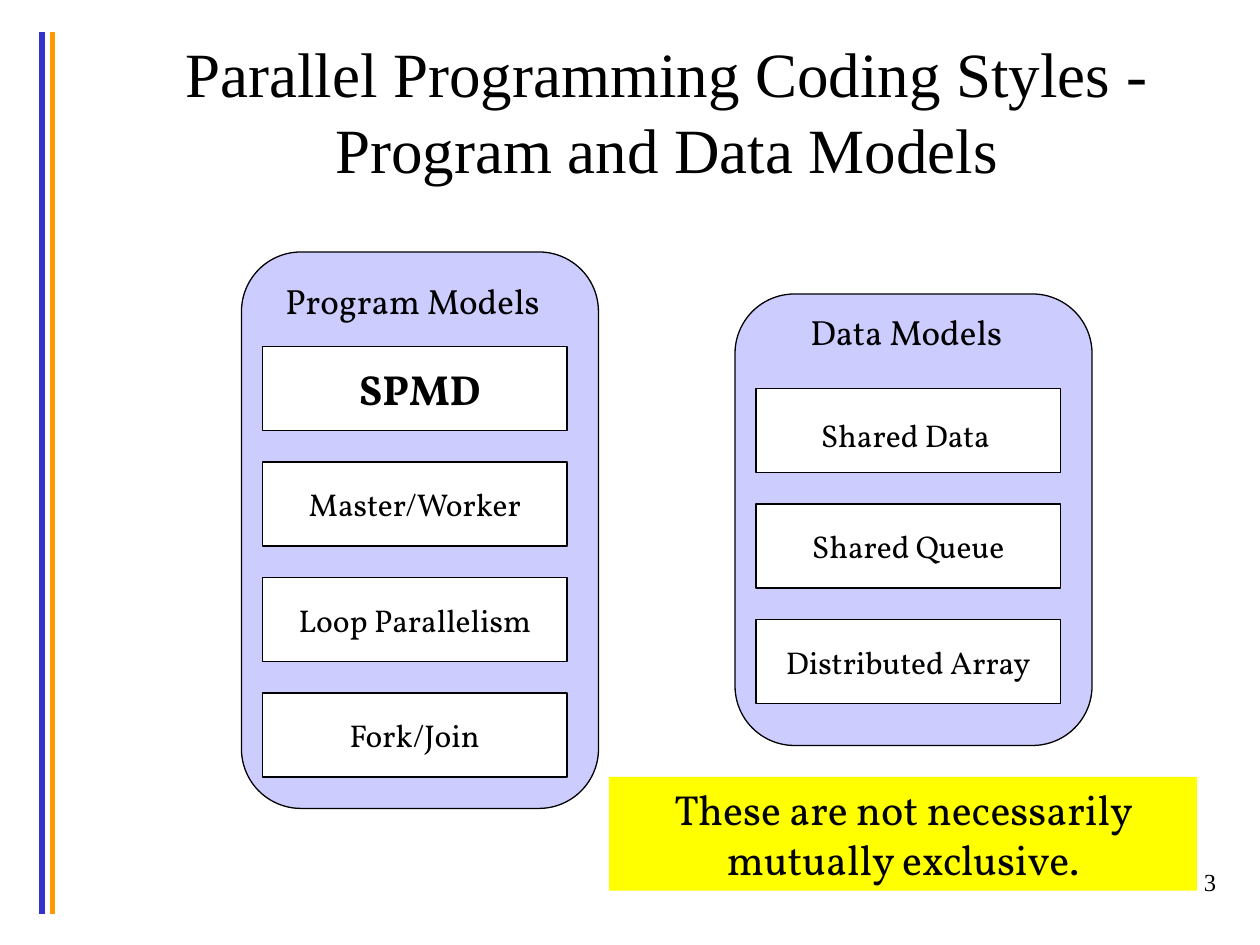
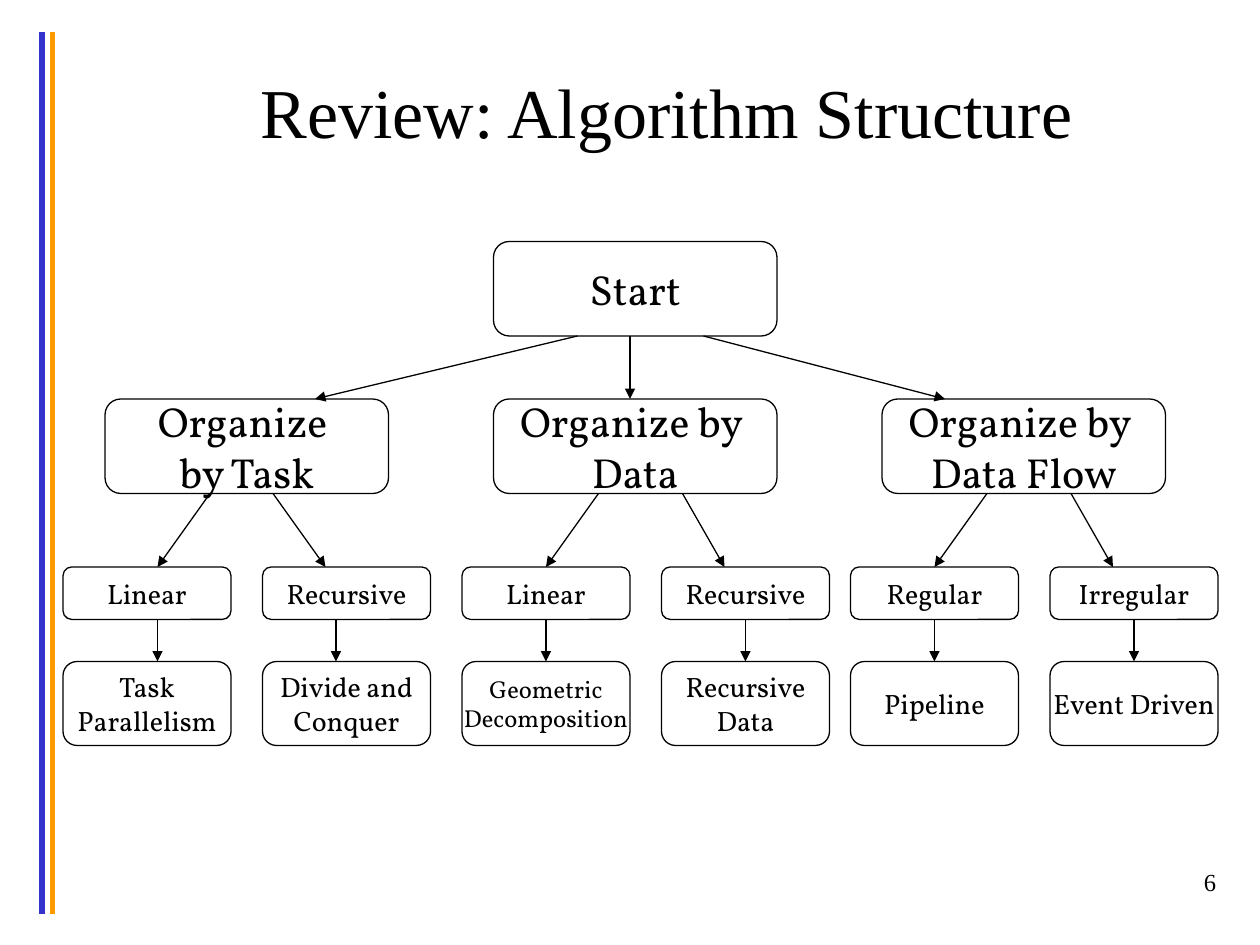
from dataclasses import dataclass

from lxml import etree
from pptx import Presentation
from pptx import util as u
from pptx.dml.color import RGBColor
from pptx.enum import shapes, text
from pptx.oxml.ns import qn

Pt = u.Pt
KIND = shapes.MSO_SHAPE
ALIGN = text.PP_ALIGN
ANCHOR = text.MSO_ANCHOR


@dataclass(frozen=True)
class Theme:
    # Colours
    ink: str = "000000"
    paper: str = "FFFFFF"
    panel: str = "CCCCFF"
    note: str = "FFFF00"
    bands: tuple = ("3333CC", "FF9900")
    # Fonts
    serif: str = "Times New Roman"
    body: str = "Vollkorn"
    # Type sizes
    title: int = 40
    long: int = 36
    big: int = 24
    head: int = 20
    item: int = 18
    leaf: int = 16
    small: int = 14
    # Line widths
    thin: float = 0.75
    thick: int = 3


class Deck:
    def __init__(self, theme):
        self.theme = theme
        self.prs = Presentation()
        self.prs.slide_width, self.prs.slide_height = Pt(720), Pt(540)
        self.slide = None

    def start(self, title, size, page):
        """Open a slide with its bands, title and page number."""
        t = self.theme
        self.slide = self.prs.slides.add_slide(self.prs.slide_layouts[6])
        for i, tone in enumerate(t.bands):
            x = 24 + 6 * i
            self.line((x, 18), (x, 522), tone, t.thick)
        self.label((54, 18, 654, 90), title, size, font=t.serif, wrap=True,
                   align=ALIGN.CENTER, anchor=ANCHOR.MIDDLE)
        self.label((552, 492, 150, 36), str(page), t.small, font=t.serif,
                   wrap=True, align=ALIGN.RIGHT)

    def letter(self, shape, words, size, font=None, bold=False, wrap=False,
               align=ALIGN.LEFT, anchor=ANCHOR.TOP):
        """Fill a shape with one paragraph for each line of words."""
        frame = shape.text_frame
        frame.text = words
        for key, val in {"word_wrap": wrap, "vertical_anchor": anchor}.items():
            setattr(frame, key, val)
        style = {"name": font or self.theme.body, "size": Pt(size), "bold": bold}
        for para in frame.paragraphs:
            para.alignment = align
            for run in para.runs:
                for key, val in style.items():
                    setattr(run.font, key, val)
                run.font.color.rgb = RGBColor.from_string(self.theme.ink)

    def label(self, area, words, size, **style):
        box = self.slide.shapes.add_textbox(*map(Pt, area))
        self.letter(box, words, size, **style)

    def box(self, kind, area, words="", size=0, fill=None, edge=True, **style):
        shape = self.slide.shapes.add_shape(kind, *map(Pt, area))
        shape.shadow.inherit = False
        if fill:
            shape.fill.solid()
            shape.fill.fore_color.rgb = RGBColor.from_string(fill)
        else:
            shape.fill.background()
        if edge:
            shape.line.color.rgb = RGBColor.from_string(self.theme.ink)
            shape.line.width = Pt(self.theme.thin)
        else:
            shape.line.fill.background()
        if words:
            look = {"align": ALIGN.CENTER, "anchor": ANCHOR.MIDDLE, **style}
            self.letter(shape, words, size, **look)
        return shape

    def line(self, a, b, tone, width):
        rule = self.slide.shapes.add_connector(
            shapes.MSO_CONNECTOR.STRAIGHT, *map(Pt, a + b))
        rule.line.color.rgb = RGBColor.from_string(tone)
        rule.line.width = Pt(width)
        etree.SubElement(rule._element.spPr, qn("a:effectLst"))
        return rule

    def arrow(self, top, x1, low, x2):
        """Point from the base of one box to the top of the next."""
        ends = (x1, (top.top + top.height) / Pt(1)), (x2, low.top / Pt(1))
        rule = self.line(*ends, self.theme.ink, self.theme.thin)
        stroke = rule._element.spPr.find(qn("a:ln"))
        etree.SubElement(stroke, qn("a:tailEnd")).set("type", "triangle")
        # Join the ends that sit on the middle of a side
        if Pt(x1) == top.left + top.width // 2:
            rule.begin_connect(top, 2)
        if Pt(x2) == low.left + low.width // 2:
            rule.end_connect(low, 0)


def models(deck):
    t = deck.theme
    deck.start("Parallel Programming Coding Styles - Program and Data Models",
               t.long, 3)
    # Panels: place, heading, first label, other rows
    panels = [
        ((138, 144, 204, 318),
         ((156, 156, 163, 32), "Program Models", t.head),
         ((198, 204, 88, 36), "SPMD", t.big, True),
         ["Master/Worker", "Loop Parallelism", "Fork/Join"]),
        ((420, 168, 204, 258),
         ((456, 174, 127, 32), "Data Models", t.head),
         ((462, 234, 112, 29), "Shared Data", t.item, False),
         ["Shared Queue", "Distributed Array"]),
    ]
    for area, head, (spot, first, size, bold), rest in panels:
        deck.box(KIND.FLOWCHART_ALTERNATE_PROCESS, area, fill=t.panel)
        deck.label(*head)
        left, top = area[0] + 12, area[1] + 54
        for i, words in enumerate([""] + rest):
            deck.box(KIND.RECTANGLE, (left, top + 66 * i, 174, 48),
                     words, t.item, fill=t.paper)
        deck.label(spot, first, size, bold=bold)
    # Note
    deck.box(KIND.RECTANGLE, (348, 444, 336, 65),
             "These are not necessarily mutually exclusive.", t.big,
             fill=t.note, edge=False, wrap=True, anchor=ANCHOR.TOP)


def tree(deck):
    t = deck.theme
    deck.start("Review: Algorithm Structure", t.title, 6)
    kind = KIND.FLOWCHART_ALTERNATE_PROCESS
    root = deck.box(kind, (282, 138, 162, 54), "Start", t.big)
    # Groups: words, root arrow from and to, then leaves with
    # left edge, branch arrow from and to, lower arrow, words, result, size
    groups = [
        ("Organize \nby Task", 330, 180, [
            (36, 120, 90, 90, "Linear", "Task\nParallelism", t.leaf),
            (150, 156, 186, 192, "Recursive", "Divide and\nConquer", t.leaf)]),
        ("Organize by \nData", 360, 360, [
            (264, 342, 312, 312, "Linear", "Geometric\nDecomposition", t.small),
            (378, 390, 414, 426, "Recursive", "Recursive\nData", t.leaf)]),
        ("Organize by \nData Flow", 402, 540, [
            (486, 564, 534, 534, "Regular", "Pipeline", t.leaf),
            (600, 612, 636, 648, "Irregular", "Event Driven", t.leaf)]),
    ]
    for i, (words, x1, x2, leaves) in enumerate(groups):
        group = deck.box(kind, (60 + 222 * i, 228, 162, 54), words, t.big)
        deck.arrow(root, x1, group, x2)
        for left, out, into, drop, name, result, size in leaves:
            leaf = deck.box(kind, (left, 324, 96, 30), name, t.leaf)
            end = deck.box(kind, (left, 378, 96, 48), result, size)
            deck.arrow(group, out, leaf, into)
            deck.arrow(leaf, drop, end, drop)


def main():
    deck = Deck(Theme())
    models(deck)
    tree(deck)
    deck.prs.save("out.pptx")


if __name__ == "__main__":
    main()
